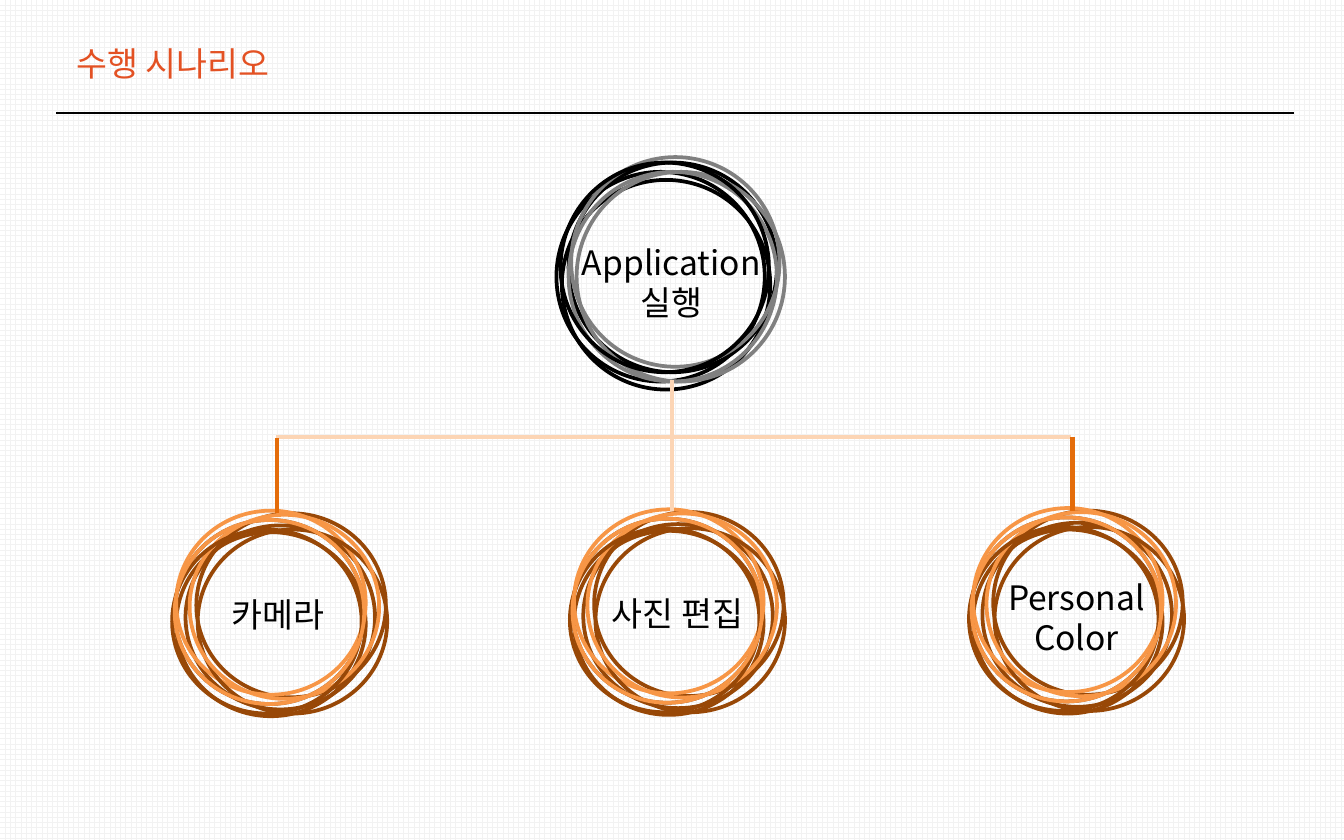
from pptx import Presentation
from pptx.dml.color import RGBColor as RGB
from pptx.enum.dml import MSO_PATTERN as Pattern
from pptx.enum.shapes import MSO_CONNECTOR as Conn, MSO_SHAPE as Shape
from pptx.enum.text import MSO_ANCHOR as Anchor, MSO_AUTO_SIZE as Auto, PP_ALIGN as Align
from pptx.oxml.ns import qn
from pptx.util import Pt
from lxml.etree import SubElement

COLORS = {
    "white": "FFFFFF", "grid": "F2F2F2", "title": "E35123",
    "black": "000000", "gray": "808080", "brown": "984807",
    "orange": "F79646", "stem": "E46C0A", "peach": "FCD5B5",
}

# Ring outlines, back to front: offset in the group and colour
MAIN = [
    (2.9, 12.2, "black"), (6.5, 2.9, "black"), (0, 7.9, "black"),
    (7.9, 0, "gray"), (6.5, 7.9, "gray"), (10.8, 7.9, "gray"),
    (2.2, 2.9, "black"),
]
SUB = [
    (7.2, 7.9, "brown"), (13, 1.4, "brown"), (1.4, 5, "brown"),
    (2.2, 11.5, "brown"), (2.2, 0, "orange"), (13.7, 10.1, "brown"),
    (9.4, 2.2, "orange"), (0, 10.1, "brown"), (1.4, 5, "orange"),
]

# Each node: left, top, ring set, ring size, label, label box
NODES = [
    (298.1, 84.2, MAIN, (111.6, 112.3), "Application\n실행", (294.5, 126, 130.3, 51.1)),
    (92.2, 273.6, SUB, (101.5, 98.6), "카메라", (110.9, 314.6, 76.3, 28.8)),
    (519.1, 272.2, SUB, (101.5, 98.6), "Personal\nColor", (532.8, 305.3, 87.8, 51.1)),
    (305.3, 272.9, SUB, (101.5, 98.6), "사진 편집", (319, 313.9, 87.8, 28.8)),
]


class Deck:
    font, size = "Noto Sans CJK KR", 18

    def __init__(self, wide, high):
        self.prs = Presentation()
        self.prs.slide_width, self.prs.slide_height = Pt(wide), Pt(high)
        self.slide = self.prs.slides.add_slide(self.prs.slide_layouts[5])

    def color(self, name):
        return RGB.from_string(COLORS[name])

    def back(self):
        fill = self.slide.background.fill
        fill.patterned()
        fill.pattern = Pattern.LARGE_GRID
        fill.fore_color.rgb = self.color("grid")
        fill.back_color.rgb = self.color("white")

    def label(self, box, text, color, align, wrap=True):
        frame = box.text_frame
        frame.word_wrap = wrap
        frame.auto_size = Auto.SHAPE_TO_FIT_TEXT
        frame.vertical_anchor = Anchor.TOP
        para = frame.paragraphs[0]
        para.text = text
        para.alignment = align
        for run in para.runs:
            run.font.name, run.font.size = self.font, Pt(self.size)
            run.font.color.rgb = self.color(color)
            SubElement(run.font._element, qn("a:ea"), typeface=self.font)

    def title(self, text, x, y, w, h):
        box = self.slide.shapes.title
        box.left, box.top, box.width, box.height = map(Pt, (x, y, w, h))
        self.label(box, text, "title", Align.LEFT, wrap=False)

    def line(self, x1, y1, x2, y2, color, width=2.25):
        line = self.slide.shapes.add_connector(
            Conn.STRAIGHT, Pt(x1), Pt(y1), Pt(x2), Pt(y2))
        line.line.color.rgb = self.color(color)
        line.line.width = Pt(width)
        SubElement(line._element.spPr, qn("a:effectLst"))

    def node(self, x, y, rings, size, text, area):
        shapes = self.slide.shapes.add_group_shape().shapes
        for dx, dy, color in rings:
            ring = shapes.add_shape(
                Shape.OVAL, Pt(x + dx), Pt(y + dy), *map(Pt, size))
            ring.shadow.inherit = False
            ring.fill.background()
            ring.line.color.rgb = self.color(color)
            ring.line.width = Pt(2)
        box = shapes.add_textbox(*map(Pt, area))
        self.label(box, text, "black", Align.CENTER)


def main():
    deck = Deck(720, 450)
    deck.back()

    # Cross bar and header
    deck.line(147.6, 234, 573.8, 234, "peach")
    deck.line(30.2, 60.5, 693.4, 60.5, "black", 0.75)
    deck.title("수행 시나리오", 33.8, 19.4, 121, 28.8)

    # Ringed nodes
    for node in NODES:
        deck.node(*node)

    # Stems from the bar to the nodes
    deck.line(574.6, 273.6, 574.6, 234, "stem")
    deck.line(148.3, 275, 148.3, 234.7, "stem")
    deck.line(360, 273.6, 360, 203.8, "peach")

    deck.prs.save("out.pptx")


if __name__ == "__main__":
    main()
